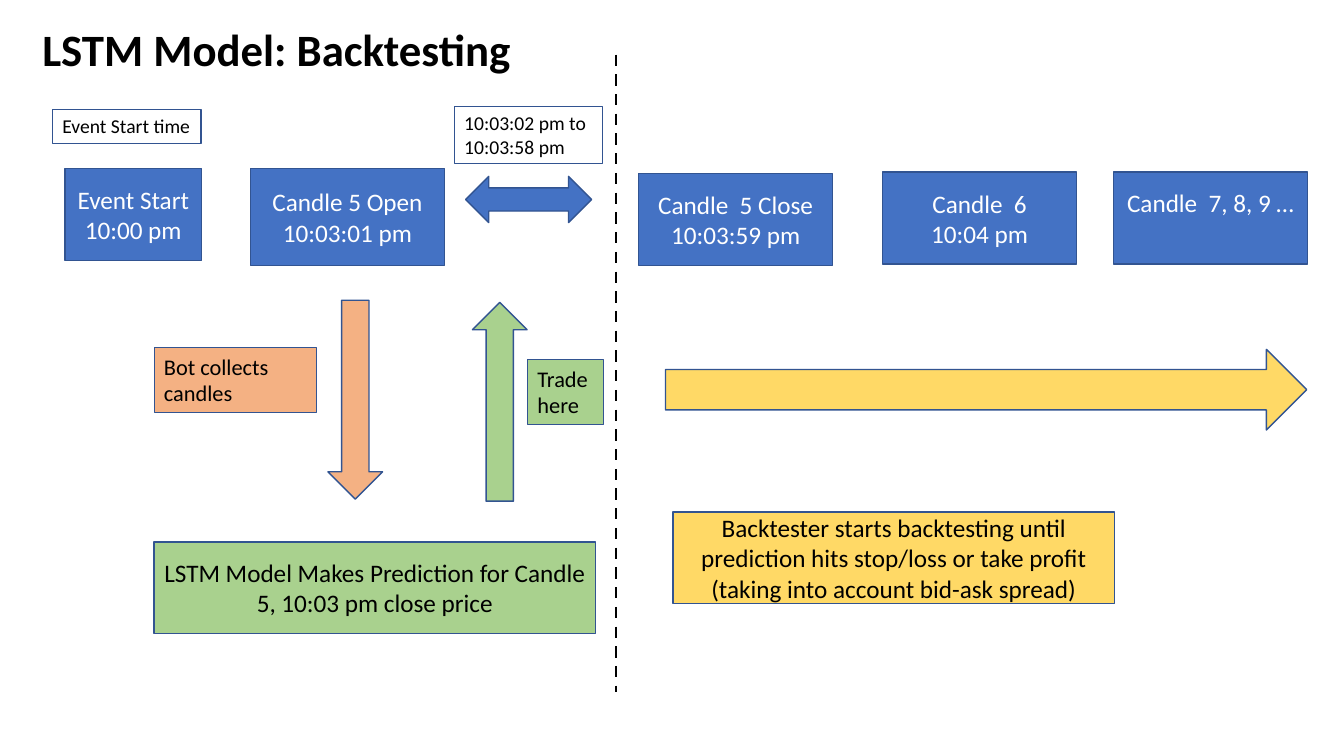
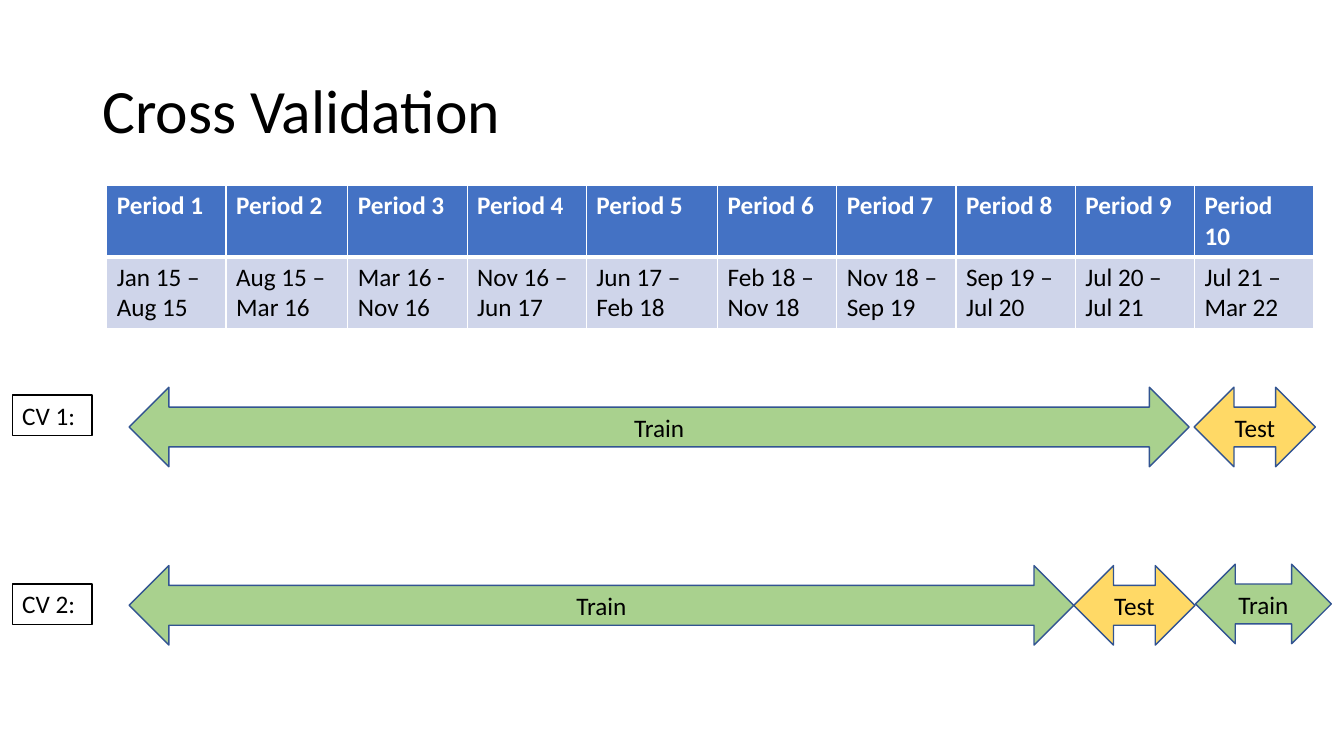
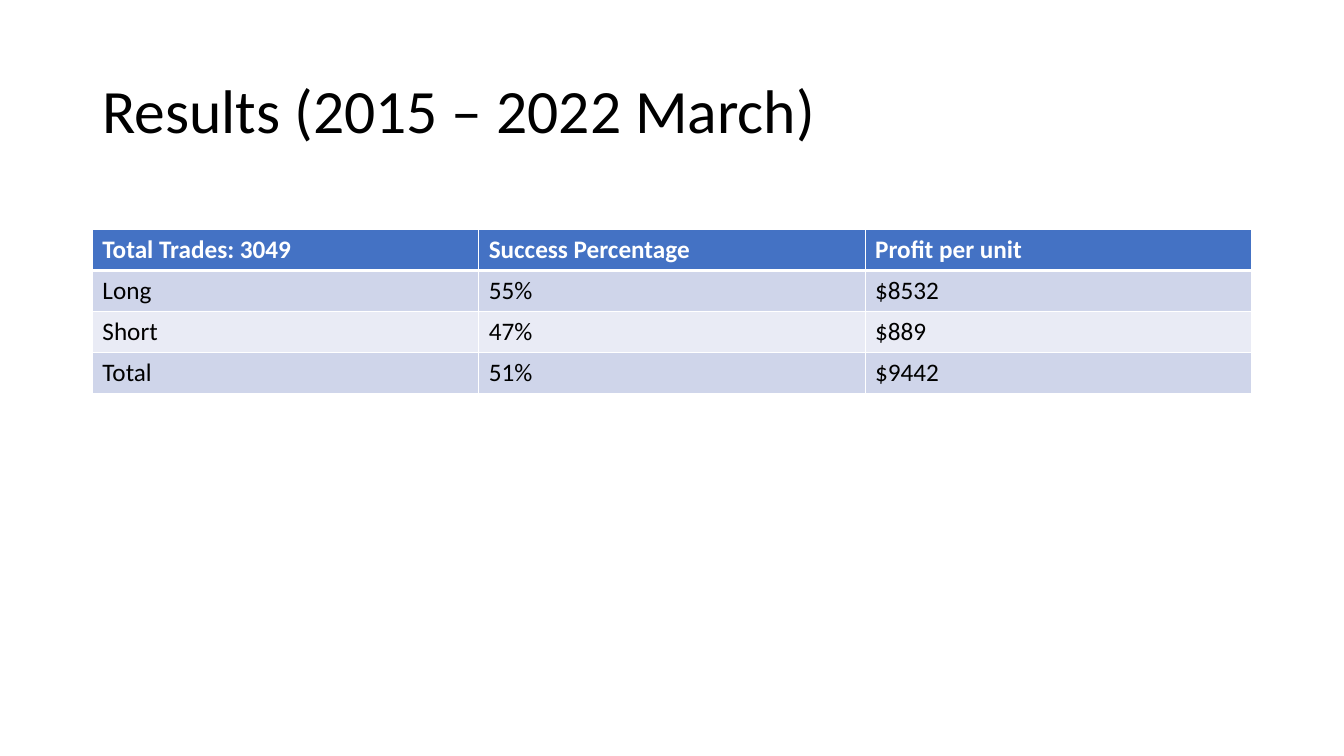
from dataclasses import dataclass
from typing import Optional

import lxml.etree as etree
import pptx
import pptx.dml.color
import pptx.enum.dml
import pptx.enum.shapes
import pptx.enum.text
import pptx.oxml.ns
import pptx.presentation
import pptx.slide
import pptx.util

Pt = pptx.util.Pt
Shape = pptx.enum.shapes.MSO_SHAPE
Align = pptx.enum.text.PP_ALIGN
Anchor = pptx.enum.text.MSO_ANCHOR
qn = pptx.oxml.ns.qn

FONT = "Calibri"
COLORS = {
    "blue": "4472C4",
    "outline": "325491",
    "green": "A9D18E",
    "orange": "F4B183",
    "yellow": "FFD966",
    "band": "CFD5EA",
    "light band": "E9EBF5",
    "black": "000000",
    "white": "FFFFFF",
}
TITLE_ONLY = 5
LINE_HEIGHT = 22


@dataclass
class Box:
    """A filled shape with centred text."""
    left: float
    top: float
    width: float
    height: float
    text: str = ""
    fill: Optional[str] = "blue"
    shape: Shape = Shape.RECTANGLE
    ink: str = "black"
    outline: str = "outline"
    weight: float = 1
    size: float = 18
    align: Align = Align.CENTER
    anchor: Anchor = Anchor.MIDDLE
    lift: float = 0


@dataclass
class Note(Box):
    """A label with text starting at its top left."""
    weight: float = 0.75
    size: float = 16
    align: Align = Align.LEFT
    anchor: Anchor = Anchor.TOP


@dataclass
class Grid:
    left: float
    top: float
    widths: list[float]
    row_height: float
    rows: list[list[str]]


def rgb(name: str) -> pptx.dml.color.RGBColor:
    return pptx.dml.color.RGBColor.from_string(COLORS[name])


def format_text(frame, size: float, ink: str, align: Align = Align.LEFT,
                bold: bool = False) -> None:
    for paragraph in frame.paragraphs:
        paragraph.alignment = align
        for run in paragraph.runs:
            run.font.name = FONT
            run.font.size = Pt(size)
            run.font.bold = bold
            run.font.color.rgb = rgb(ink)


def add_titled_slide(deck: pptx.presentation.Presentation, text: str,
                     place: tuple[float, ...] = (66, 28.75, 828, 104.4),
                     size: float = 44, bold: bool = False) -> pptx.slide.Slide:
    slide = deck.slides.add_slide(deck.slide_layouts[TITLE_ONLY])
    title = slide.shapes.title
    title.left, title.top, title.width, title.height = map(Pt, place)
    frame = title.text_frame
    frame.text = text
    frame.auto_size = pptx.enum.text.MSO_AUTO_SIZE.NONE
    frame.vertical_anchor = Anchor.MIDDLE
    frame.paragraphs[0].line_spacing = 0.9
    format_text(frame, size, "black", bold=bold)
    return slide


def add_box(slide: pptx.slide.Slide, box: Box) -> None:
    shape = slide.shapes.add_shape(
        box.shape, Pt(box.left), Pt(box.top), Pt(box.width), Pt(box.height))
    shape.shadow.inherit = False
    if box.fill:
        shape.fill.solid()
        shape.fill.fore_color.rgb = rgb(box.fill)
    else:
        shape.fill.background()
    shape.line.color.rgb = rgb(box.outline)
    shape.line.width = Pt(box.weight)
    if box.text:
        frame = shape.text_frame
        frame.text = box.text
        frame.word_wrap = True
        frame.vertical_anchor = box.anchor
        frame.margin_bottom = Pt(3.6 + box.lift)
        format_text(frame, box.size, box.ink, box.align)


def add_dashed_line(slide: pptx.slide.Slide, x: float, top: float, bottom: float) -> None:
    divider = slide.shapes.add_connector(
        pptx.enum.shapes.MSO_CONNECTOR.STRAIGHT, Pt(x), Pt(top), Pt(x), Pt(bottom))
    divider.line.color.rgb = rgb("black")
    divider.line.width = Pt(2)
    divider.line.dash_style = pptx.enum.dml.MSO_LINE.DASH
    etree.SubElement(divider._element.spPr, qn("a:effectLst"))


def add_borders(cell, top: float, bottom: float) -> None:
    properties = cell._tc.get_or_add_tcPr()
    for side, weight in (("L", 1), ("R", 1), ("T", top), ("B", bottom)):
        border = etree.SubElement(properties, qn(f"a:ln{side}"), w=str(Pt(weight)))
        paint = etree.SubElement(border, qn("a:solidFill"))
        etree.SubElement(paint, qn("a:srgbClr"), val=COLORS["white"])


def add_grid(slide: pptx.slide.Slide, grid: Grid) -> None:
    table = slide.shapes.add_table(
        len(grid.rows), len(grid.widths), Pt(grid.left), Pt(grid.top),
        Pt(sum(grid.widths)), Pt(grid.row_height * len(grid.rows))).table
    for column, width in zip(table.columns, grid.widths):
        column.width = Pt(width)
    for r, texts in enumerate(grid.rows):
        header = r == 0
        fill = "blue" if header else "band" if r % 2 else "light band"
        table.rows[r].height = Pt(grid.row_height)
        for c, text in enumerate(texts):
            cell = table.cell(r, c)
            add_borders(cell, top=3 if r == 1 else 1, bottom=3 if header else 1)
            cell.fill.solid()
            cell.fill.fore_color.rgb = rgb(fill)
            cell.text_frame.text = text
            format_text(cell.text_frame, 18, "white" if header else "black", bold=header)


def build_backtesting(deck: pptx.presentation.Presentation) -> None:
    slide = add_titled_slide(deck, "LSTM Model: Backtesting", (23, 14, 833, 46), 32, True)
    events = [
        Box(46.5, 120.3, 97.5, 65.7, "Event Start\n10:00 pm", ink="white"),
        Box(179, 120.3, 138.5, 69.5, "Candle 5 Open\n10:03:01 pm", ink="white"),
        Box(456.3, 124, 138.5, 65.7, "Candle  5 Close\n10:03:59 pm", ink="white"),
        Box(630.5, 123, 138.5, 65.7, "Candle  6\n10:04 pm", ink="white"),
        Box(795.5, 123, 138.5, 65.7, "Candle  7, 8, 9 …", ink="white", lift=LINE_HEIGHT),
    ]
    arrows = [
        Box(234.3, 214.5, 39, 142, fill="orange", shape=Shape.DOWN_ARROW),
        Box(337.5, 216, 39, 142, fill="green", shape=Shape.UP_ARROW),
        Box(475.4, 249.6, 458, 57.6, fill="yellow", shape=Shape.RIGHT_ARROW),
        Box(332.6, 126, 90, 33, shape=Shape.LEFT_RIGHT_ARROW),
    ]
    steps = [
        Box(110, 387, 315.5, 65.5,
            "LSTM Model Makes Prediction for Candle 5, 10:03 pm close price", "green"),
        Box(480.7, 365.6, 315.5, 65.5,
            "Backtester starts backtesting until prediction hits stop/loss "
            "or take profit (taking into account bid-ask spread)", "yellow"),
    ]
    notes = [
        Note(37.4, 78, 106.2, 24.2, "Event Start time", None, size=14),
        Note(324.5, 75.8, 106, 41.2, "10:03:02 pm to\n10:03:58 pm", None, size=14),
        Note(110, 248.4, 115.8, 46, "Bot collects candles", "orange"),
        Note(376.8, 257, 54, 46, "Trade here", "green"),
    ]
    for box in events + arrows + steps + notes:
        add_box(slide, box)
    add_dashed_line(slide, 440, 39, 494.6)


def build_cross_validation(deck: pptx.presentation.Presentation) -> None:
    slide = add_titled_slide(deck, "Cross Validation")
    starts_and_ends = [
        "Jan 15 –\nAug 15", "Aug 15 –\nMar 16", "Mar 16 -\nNov 16", "Nov 16 –\nJun 17",
        "Jun 17 –\nFeb 18", "Feb 18 –\nNov 18", "Nov 18 –\nSep 19", "Sep 19 –\nJul 20",
        "Jul 20 –\nJul 21", "Jul 21 –\nMar 22",
    ]
    widths = [85.2] * 10
    widths[1], widths[4] = 87, 93.7
    periods = [f"Period {n}" for n in range(1, 11)]
    add_grid(slide, Grid(76.3, 132.4, widths, 51.2, [periods, starts_and_ends]))

    for name, top in (("CV 1:", 282.2), ("CV 2:", 417)):
        add_box(slide, Note(8.8, top, 57, 29, name, "white", outline="black",
                            weight=1, size=18))
    spans = [
        (92.2, 276.6, 757.2, "Train"),
        (853, 276.6, 86.6, "Test"),
        (92.2, 404, 674.8, "Train"),
        (767, 404, 86.6, "Test"),
        (854, 403, 97, "Train"),
    ]
    for left, top, width, role in spans:
        fill = "green" if role == "Train" else "yellow"
        add_box(slide, Box(left, top, width, 56.8, role, fill, Shape.LEFT_RIGHT_ARROW))


def build_results(deck: pptx.presentation.Presentation) -> None:
    slide = add_titled_slide(deck, "Results (2015 – 2022 March)")
    add_grid(slide, Grid(66, 164, [276] * 3, 29.2, [
        ["Total Trades: 3049", "Success Percentage", "Profit per unit"],
        ["Long", "55%", "$8532"],
        ["Short", "47%", "$889"],
        ["Total", "51%", "$9442"],
    ]))


def main() -> None:
    deck = pptx.Presentation()
    deck.slide_width, deck.slide_height = Pt(960), Pt(540)
    build_backtesting(deck)
    build_cross_validation(deck)
    build_results(deck)
    deck.save("out.pptx")


if __name__ == "__main__":
    main()
